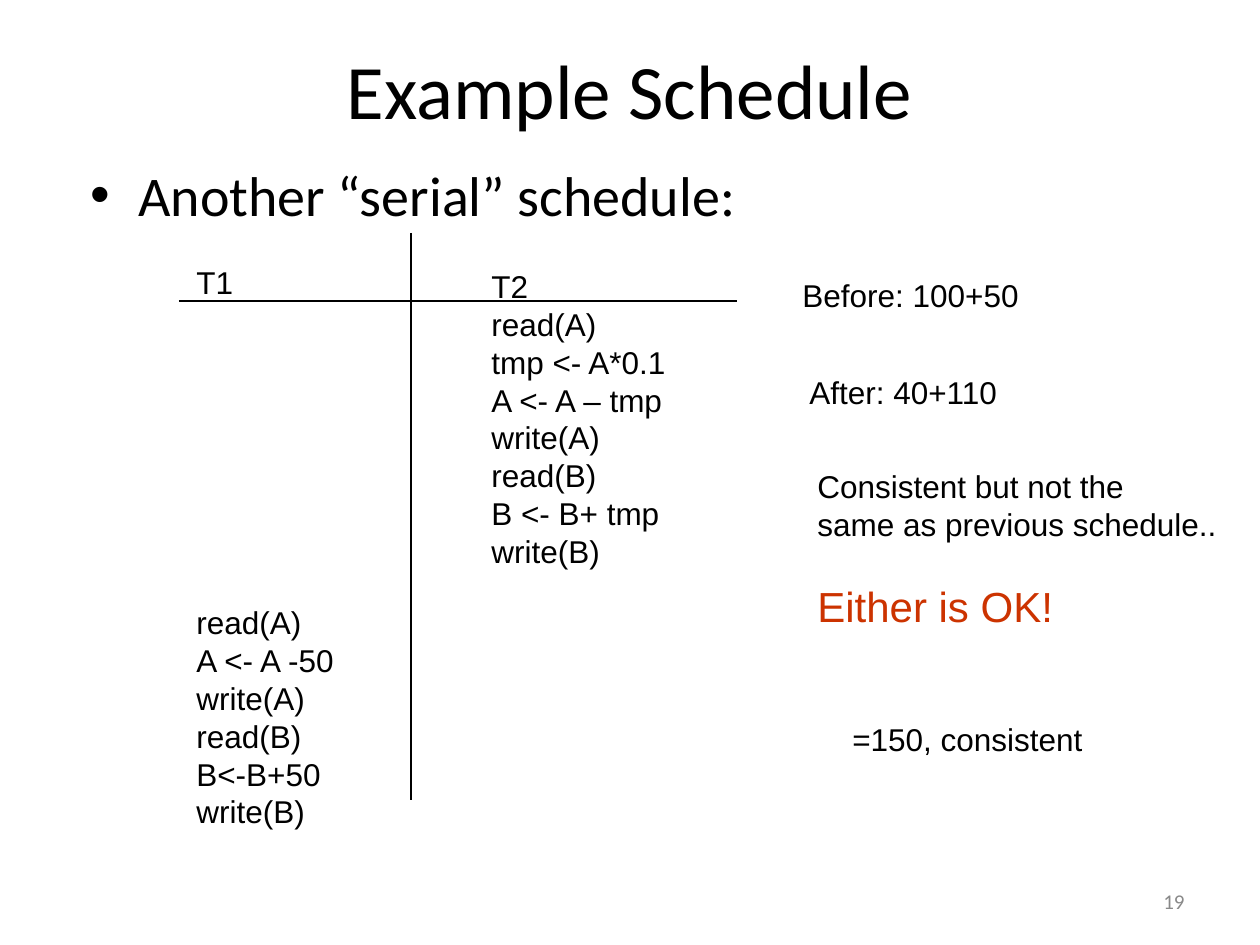
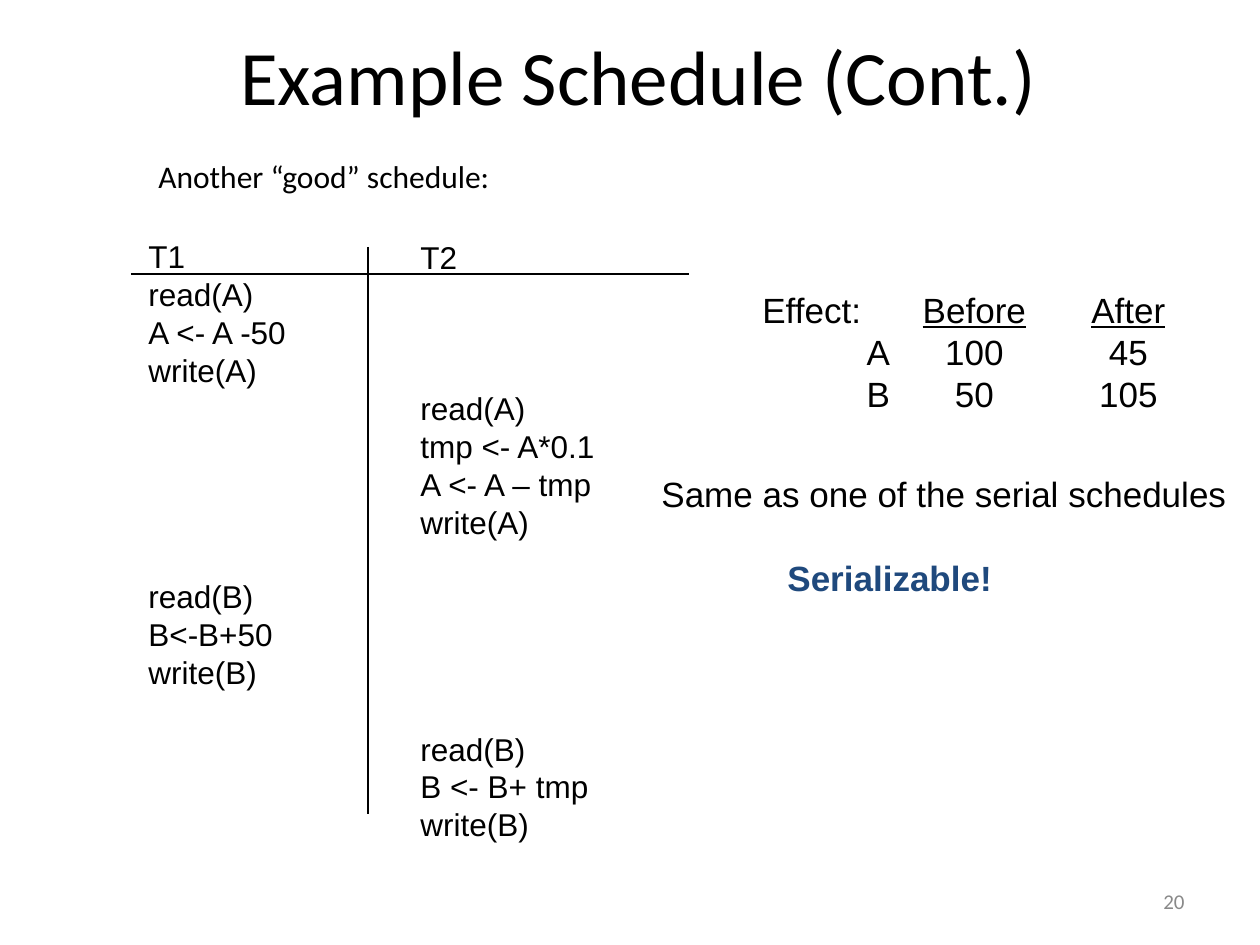
from pptx import Presentation
from pptx.dml.color import RGBColor
from pptx.enum.shapes import MSO_CONNECTOR
from pptx.enum.text import MSO_ANCHOR, PP_ALIGN
from pptx.oxml.ns import qn
from pptx.util import Pt
from lxml.etree import SubElement

PIXEL = 914400 / 126
COLORS = {"ink": "000000", "page": "898989", "alert": "CC3300", "verdict": "1F497D"}
LEADING = 1.2  # line pitch of the Arial text, relative to its size


def px(length):
    return round(length * PIXEL)


def add_text(slide, box, lines, size=18, font="Arial", color="ink",
             align=PP_ALIGN.LEFT, anchor=MSO_ANCHOR.TOP):
    """Write lines into a text box; empty lines become space before the next one."""
    frame = slide.shapes.add_textbox(*map(px, box)).text_frame
    frame.word_wrap = True
    frame.vertical_anchor = anchor
    frame.text = "\n".join(line for line in lines if line)
    skipped, paragraphs = 0, iter(frame.paragraphs)
    for line in lines:
        if not line:
            skipped += 1
            continue
        paragraph = next(paragraphs)
        paragraph.alignment = align
        if font == "Arial":
            paragraph.line_spacing = Pt(size * LEADING)
        if skipped:
            paragraph.space_before = Pt(skipped * size * LEADING)
            skipped = 0
        for run in paragraph.runs:
            run.font.size = Pt(size)
            run.font.name = font
            run.font.color.rgb = RGBColor.from_string(COLORS[color])
    return frame.paragraphs


presentation = Presentation()
presentation.slide_width, presentation.slide_height = px(1260), px(945)

# Steps of the two transactions
t1_on_a = ["read(A)", "A <- A -50", "write(A)"]
t1_on_b = ["read(B)", "B<-B+50", "write(B)"]
t2_on_a = ["read(A)", "tmp <- A*0.1", "A <- A – tmp", "write(A)"]
t2_on_b = ["read(B)", "B <- B+ tmp", "write(B)"]

# Title, two schedule columns, their rules and page number for each slide
pages = [
    {"title": "Example Schedule", "title_box": (63, 10, 1134, 158), "number": "19",
     "t1": ["T1"] + [""] * 8 + t1_on_a + t1_on_b, "t1_at": (184, 257),
     "t2": ["T2"] + t2_on_a + t2_on_b, "t2_at": (479, 261),
     "rules": [(179, 301, 737, 301), (411, 233, 411, 800)]},
    {"title": "Example Schedule (Cont.)", "title_box": (82, 13, 1113, 123), "number": "20",
     "t1": ["T1"] + t1_on_a + [""] * 5 + t1_on_b, "t1_at": (136, 231),
     "t2": ["T2"] + [""] * 3 + t2_on_a + [""] * 5 + t2_on_b, "t2_at": (408, 232),
     "rules": [(131, 274, 689, 274), (368, 247, 368, 814)]},
]
slides = []
for page in pages:
    slide = presentation.slides.add_slide(presentation.slide_layouts[6])
    slides.append(slide)
    add_text(slide, page["title_box"], [page["title"]], 44, "Calibri",
             align=PP_ALIGN.CENTER, anchor=MSO_ANCHOR.MIDDLE)
    for column in ("t1", "t2"):
        steps = page[column]
        height = 13 + len(steps) * 38
        add_text(slide, (*page[column + "_at"], 205, height), steps)
    for ends in page["rules"]:
        rule = slide.shapes.add_connector(MSO_CONNECTOR.STRAIGHT, *map(px, ends))
        rule.line.color.rgb = RGBColor.from_string(COLORS["ink"])
        rule.line.width = Pt(0.74)
        SubElement(rule._element.spPr, qn("a:effectLst"))
    add_text(slide, (903, 876, 294, 50), [page["number"]], 12, "Calibri", "page",
             PP_ALIGN.RIGHT, MSO_ANCHOR.MIDDLE)

serial, good = slides

# Serial schedule: bulleted lead and remarks
lead = add_text(serial, (78, 154, 1081, 91), ["Another “serial” schedule:"], 32, "Calibri")[0]
lead_format = lead._p.get_or_add_pPr()
lead_format.set("marL", str(px(48)))
lead_format.set("indent", str(px(-48)))
SubElement(lead_format, qn("a:buFont")).set("typeface", "Arial")
SubElement(lead_format, qn("a:buChar")).set("char", "•")

add_text(serial, (790, 270, 260, 50), ["Before: 100+50"])
add_text(serial, (797, 367, 240, 50), ["After: 40+110"])
add_text(serial, (840, 714, 280, 50), ["=150, consistent"])
remark = add_text(serial, (805, 461, 440, 176), [
    "Consistent but not the", "same as previous schedule..", "", "Either is OK!"])
remark[-1].line_spacing = Pt(24 * LEADING)
either = remark[-1].runs[0].font
either.size = Pt(24)
either.color.rgb = RGBColor.from_string(COLORS["alert"])

# Good schedule: lead, effect on A and B, verdict
lead = add_text(good, (146, 155, 926, 78), ["Another “good” schedule:"], 18, "Calibri")[0]
lead.line_spacing = 0.9

effect = add_text(good, (750, 282, 440, 140), [
    "Effect:", "\tA\t100\t45", "\tB\t50\t105"], 20)
for part in ("\t", "Before", "\t", "After"):
    heading = effect[0].add_run()
    heading.text = part
    heading.font.size = Pt(20)
    heading.font.name = "Arial"
    heading.font.color.rgb = RGBColor.from_string(COLORS["ink"])
    heading.font.underline = part != "\t"
value_stops = [212, 366]
for row, stops in zip(effect, [value_stops] + [[116] + value_stops] * 2):
    tab_list = SubElement(row._p.get_or_add_pPr(), qn("a:tabLst"))
    for stop in stops:
        tab = SubElement(tab_list, qn("a:tab"))
        tab.set("pos", str(px(stop)))
        tab.set("algn", "ctr")

verdict = add_text(good, (649, 466, 600, 139), [
    "Same as one of the serial schedules", "", "Serializable!"], 20)[-1]
verdict._p.get_or_add_pPr().set("marL", str(px(126)))
verdict.runs[0].font.bold = True
verdict.runs[0].font.color.rgb = RGBColor.from_string(COLORS["verdict"])

presentation.save("out.pptx")
